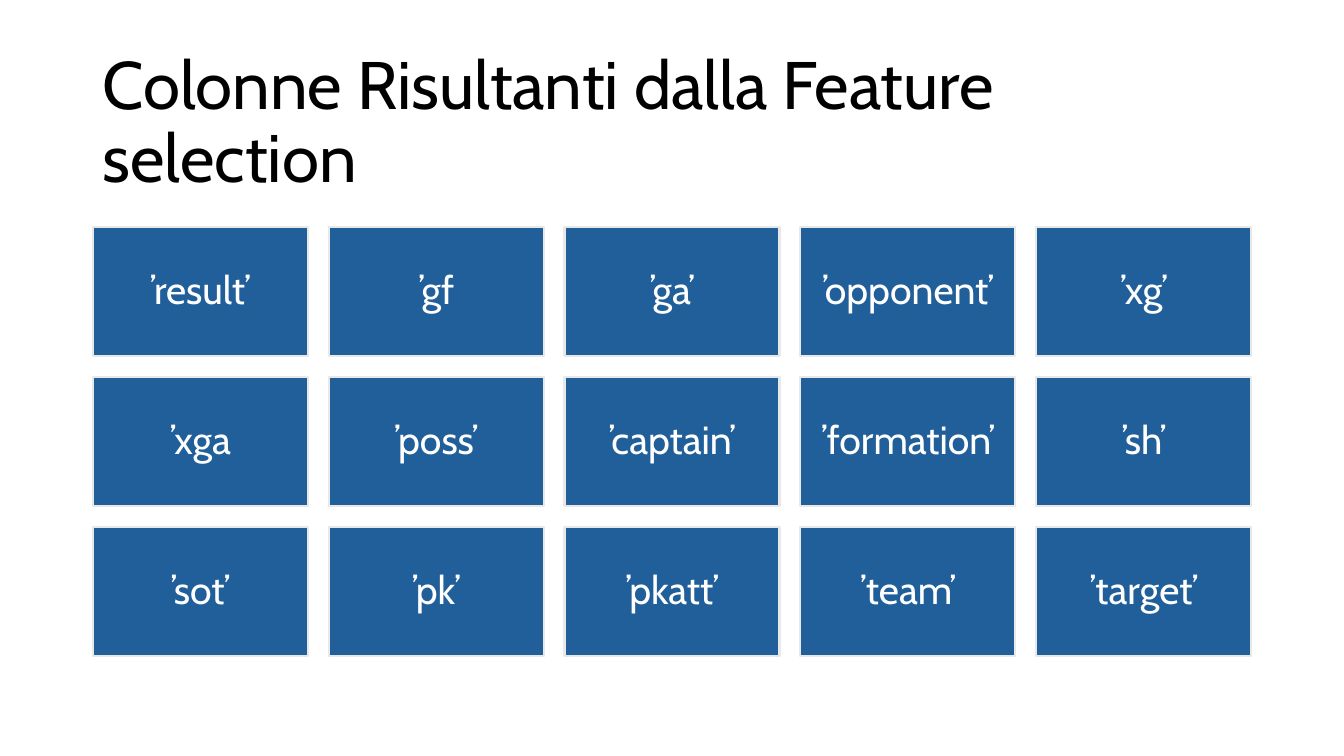
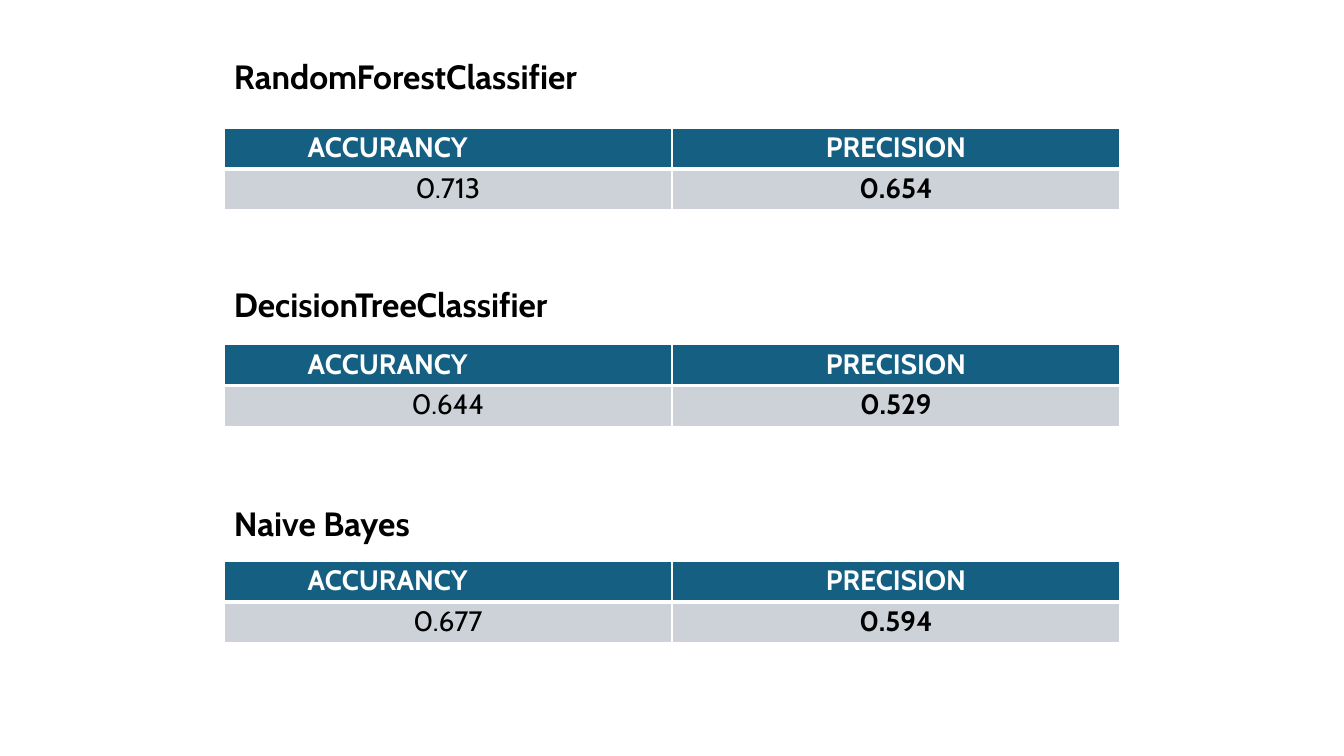
from dataclasses import dataclass

from lxml import etree
from pptx import Presentation
from pptx import util as u
from pptx.dml import color
from pptx.enum import shapes, text
from pptx.oxml import ns


@dataclass(frozen=True)
class Theme:
    font: str = "Cabin"
    black: str = "000000"
    white: str = "FFFFFF"
    tile: str = "215F9A"
    tile_line: str = "E8E8E8"
    header: str = "156082"
    body: str = "CCD2D8"
    title_size: int = 48
    tile_size: int = 28
    heading_size: int = 24
    table_size: int = 20


theme = Theme()


def write_text(frame, words, size, ink=theme.black, bold=False, align=text.PP_ALIGN.LEFT,
               anchor=text.MSO_ANCHOR.TOP, spacing=1.0, after=0):
    frame.word_wrap = True
    frame.vertical_anchor = anchor
    paragraph = frame.paragraphs[0]
    paragraph.alignment = align
    paragraph.line_spacing = spacing
    paragraph.space_after = u.Pt(after)
    run = paragraph.add_run()
    run.text = words
    run.font.name = theme.font
    run.font.size = u.Pt(size)
    run.font.bold = bold
    run.font.color.rgb = color.RGBColor.from_string(ink)


def add_border(cell, side, points):
    line = etree.SubElement(cell._tc.get_or_add_tcPr(), ns.qn(f"a:{side}"), w=str(u.Pt(points)))
    fill = etree.SubElement(line, ns.qn("a:solidFill"))
    etree.SubElement(fill, ns.qn("a:srgbClr"), val=theme.white)


presentation = Presentation()
presentation.slide_width = u.Inches(13.33)
presentation.slide_height = u.Inches(7.5)
across = presentation.slide_width / 100
down = presentation.slide_height / 100
blank = presentation.slide_layouts[6]
center = text.PP_ALIGN.CENTER
middle = text.MSO_ANCHOR.MIDDLE

slide = presentation.slides.add_slide(blank)
margin = 6.9 * across
title = slide.shapes.add_textbox(int(margin), int(8.13 * down), int(86.25 * across), int(16.53 * down))
write_text(title.text_frame, "Colonne Risultanti dalla Feature selection", theme.title_size,
           anchor=middle, spacing=0.9, after=6)

features = [
    ["’result’", "’gf", "’ga’", "’opponent’", "’xg’"],
    ["’xga", "’poss’", "’captain’", "’formation’", "’sh’"],
    ["’sot’", "’pk’", "’pkatt’", "’team’", "’target’"],
]
tile_width, tile_height = 16 * across, 17.07 * down
column_step, row_step = 17.55 * across, 19.87 * down
for row, names in enumerate(features):
    for column, name in enumerate(names):
        tile = slide.shapes.add_shape(
            shapes.MSO_SHAPE.RECTANGLE, int(margin + column * column_step),
            int(30 * down + row * row_step), int(tile_width), int(tile_height))
        tile.shadow.inherit = False
        tile.fill.solid()
        tile.fill.fore_color.rgb = color.RGBColor.from_string(theme.tile)
        tile.line.color.rgb = color.RGBColor.from_string(theme.tile_line)
        tile.line.width = u.Pt(1.5)
        write_text(tile.text_frame, name, theme.tile_size, ink=theme.white,
                   align=center, anchor=middle, spacing=0.9)

slide = presentation.slides.add_slide(blank)
grid_column = presentation.slide_width / 12
classifiers = [
    ("RandomForestClassifier", 6.4, 1.07, "0.713", "0.654"),
    ("DecisionTreeClassifier", 36.93, 1.0, "0.644", "0.529"),
    ("Naive Bayes", 65.87, 1.0, "0.677", "0.594"),
]
for index, (name, heading_top, spacing, accuracy, precision) in enumerate(classifiers):
    table = slide.shapes.add_table(
        2, 2, int(2 * grid_column), int((16.93 + index * 28.67) * down),
        int(8 * grid_column), int(10.8 * down)).table
    for row, values in enumerate([("ACCURANCY", "PRECISION"), (accuracy, precision)]):
        is_header = row == 0
        for column, value in enumerate(values):
            cell = table.cell(row, column)
            is_indented = is_header and column == 0
            cell.margin_left = u.Inches(0.83 if is_indented else 0.07)
            cell.margin_right = u.Inches(0.07)
            cell.margin_top = cell.margin_bottom = 0
            for side, points in (("lnL", 1), ("lnR", 1), ("lnT", 1 if is_header else 3),
                                 ("lnB", 3 if is_header else 1)):
                add_border(cell, side, points)
            cell.fill.solid()
            cell.fill.fore_color.rgb = color.RGBColor.from_string(
                theme.header if is_header else theme.body)
            write_text(cell.text_frame, value, theme.table_size,
                       ink=theme.white if is_header else theme.black,
                       bold=is_header or column == 1,
                       align=text.PP_ALIGN.LEFT if is_indented else center,
                       spacing=1.07, after=8)

    heading = slide.shapes.add_textbox(
        int(2 * grid_column), int(heading_top * down), int(6 * grid_column), int(6.67 * down))
    write_text(heading.text_frame, name, theme.heading_size, bold=True, spacing=spacing)

presentation.save("out.pptx")
